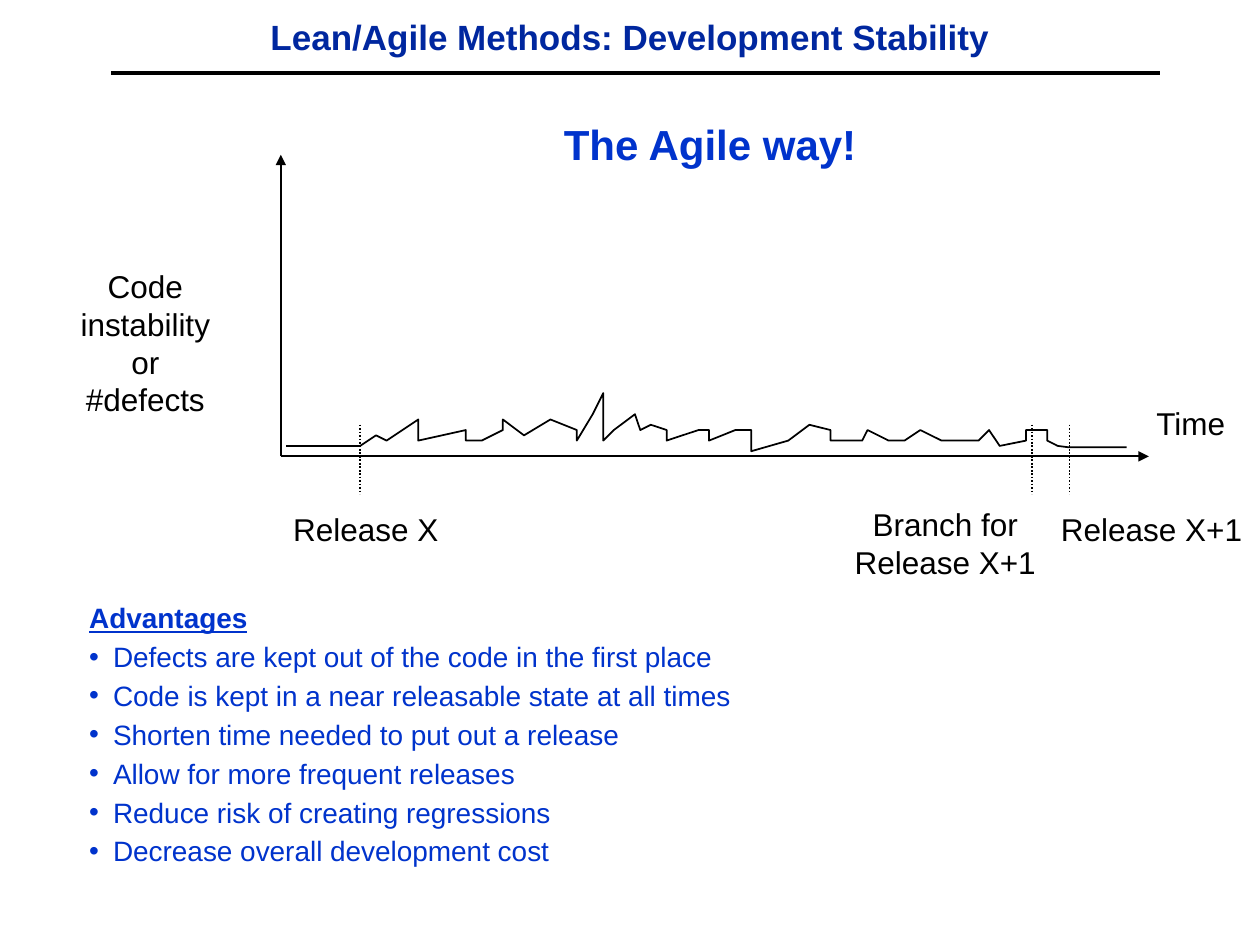
import pptx
import pptx.util
import pptx.dml.color
import pptx.enum.dml
import pptx.enum.shapes
import pptx.enum.text
import pptx.oxml.ns
import lxml.etree

Cm = pptx.util.Cm
Pt = pptx.util.Pt
ALIGN = pptx.enum.text.PP_ALIGN
ANCHOR = pptx.enum.text.MSO_ANCHOR
qn = pptx.oxml.ns.qn

COLORS = {"title": "00279F", "accent": "0033CC", "ink": "000000"}

TITLE_FONT = {"size": Pt(20), "bold": True}
SLOGAN_FONT = {"size": Pt(24), "bold": True}
LABEL_FONT = {"size": Pt(18), "bold": False}
HEAD_FONT = {"size": Pt(16), "bold": True, "underline": True}
BULLET_FONT = {"size": Pt(16), "bold": False}

TITLE = ("Lean/Agile Methods: Development Stability", (1.9, 0.2, 21.6, 1.07))
SLOGAN = ("The Agile way!", (11.1, 2.26, 6.43, 1.27))
LABELS = [
    (["Code instability", "or", "#defects"], (0.53, 5.26, 4.8, 3.3)),
    (["Time"], (23.04, 8.03, 1.93, 1.02)),
    (["Release X"], (5.66, 10.16, 3.43, 1.02)),
    (["Branch for", "Release X+1"], (16.97, 10.06, 4.17, 1.78)),
    (["Release X+1"], (21.13, 10.16, 4.17, 1.02)),
]
ADVANTAGES_BOX = (1.07, 11.99, 18.57, 5.61)
ADVANTAGES = [
    "Defects are kept out of the code in the first place",
    "Code is kept in a near releasable state at all times",
    "Shorten time needed to put out a release",
    "Allow for more frequent releases",
    "Reduce risk of creating regressions",
    "Decrease overall development cost",
]

RULE = (2.24, 1.47, 23.39, 1.47)
ORIGIN_X, ORIGIN_Y = 5.66, 9.2
AXES = [(ORIGIN_X, ORIGIN_Y, ORIGIN_X, 3.12), (ORIGIN_X, ORIGIN_Y, 23.16, ORIGIN_Y)]
MARKERS = [7.26, 20.8, 21.56]
MARKER_TOP, MARKER_BOTTOM = 8.56, 9.96

CURVE_LEFT, CURVE_BASE, CURVE_WIDTH = 5.77, 8.99, 16.94
CURVE = [
    (0, 0), (14, 0), (17, 2), (19, 1), (25, 5), (25, 1), (34, 3), (34, 1),
    (37, 1), (41, 3), (41, 5), (45, 2), (50, 5), (55, 3), (55, 1), (58, 6),
    (60, 10), (60, 1), (62, 3), (66, 6), (67, 3), (69, 4), (72, 3), (72, 1),
    (78, 3), (80, 3), (80, 1), (85, 3), (88, 3), (88, -1), (95, 1), (99, 4),
    (103, 3), (103, 1), (109, 1), (110, 3), (114, 1), (117, 1), (120, 3),
    (124, 1), (131, 1), (133, 3), (135, 0), (140, 1), (140, 3), (144, 3),
    (144, 1), (146, 0), (148, -0.25), (159, -0.25),
]


def rgb(name):
    return pptx.dml.color.RGBColor.from_string(COLORS[name])


def add_line(slide, ends, width=1, dotted=False, arrow=False):
    sp = slide.shapes.add_connector(
        pptx.enum.shapes.MSO_CONNECTOR.STRAIGHT, *[Cm(v) for v in ends])
    sp.line.width = Pt(width)
    sp.line.color.rgb = rgb("ink")
    if dotted:
        sp.line.dash_style = pptx.enum.dml.MSO_LINE.ROUND_DOT
    if arrow:
        lxml.etree.SubElement(sp.line._get_or_add_ln(), qn("a:tailEnd"), type="triangle")
    lxml.etree.SubElement(sp._element.spPr, qn("a:effectLst"))


def add_box(slide, box, wrap=False, anchor=ANCHOR.TOP):
    tf = slide.shapes.add_textbox(*[Cm(v) for v in box]).text_frame
    tf.word_wrap = wrap
    tf.vertical_anchor = anchor
    return tf


def add_paragraph(tf, text, font, color, align=ALIGN.CENTER):
    p = tf.paragraphs[0] if not tf.paragraphs[0].runs else tf.add_paragraph()
    p.alignment = align
    r = p.add_run()
    r.text = text
    r.font.name = "Arial"
    r.font.color.rgb = rgb(color)
    for key, value in font.items():
        setattr(r.font, key, value)
    return p


def add_advantages(slide):
    tf = add_box(slide, ADVANTAGES_BOX, wrap=True)
    rows = [("Advantages", HEAD_FONT)] + [(t, BULLET_FONT) for t in ADVANTAGES]
    for text, font in rows:
        p = add_paragraph(tf, text, font, "accent", ALIGN.LEFT)
        p.space_after = Pt(3)
        pPr = p._p.get_or_add_pPr()
        pPr.set("marL", str(Cm(0.96)))
        pPr.set("indent", str(-Cm(0.48)))
        if font is BULLET_FONT:
            buClr = lxml.etree.SubElement(pPr, qn("a:buClr"))
            lxml.etree.SubElement(buClr, qn("a:srgbClr"), val=COLORS["accent"])
            lxml.etree.SubElement(pPr, qn("a:buFont"), typeface="Arial")
            lxml.etree.SubElement(pPr, qn("a:buChar"), char="•")


def add_curve(slide):
    step = CURVE_WIDTH / CURVE[-1][0]
    pts = [(Cm(CURVE_LEFT + x * step), Cm(CURVE_BASE - y * step)) for x, y in CURVE]
    fb = slide.shapes.build_freeform(*pts[0])
    fb.add_line_segments(pts[1:], close=False)
    sp = fb.convert_to_shape()
    sp.shadow.inherit = False
    sp.fill.background()
    sp.line.width = Pt(1)
    sp.line.color.rgb = rgb("ink")


def main():
    prs = pptx.Presentation()
    prs.slide_width, prs.slide_height = Cm(25.4), Cm(19.05)
    s = prs.slides.add_slide(prs.slide_layouts[6])

    add_line(s, RULE, width=2)
    tf = add_box(s, TITLE[1], wrap=True, anchor=ANCHOR.MIDDLE)
    add_paragraph(tf, TITLE[0], TITLE_FONT, "title")
    for axis in AXES:
        add_line(s, axis, arrow=True)
    for x in MARKERS:
        add_line(s, (x, MARKER_TOP, x, MARKER_BOTTOM), dotted=True)
    for lines, box in LABELS:
        tf = add_box(s, box)
        for text in lines:
            add_paragraph(tf, text, LABEL_FONT, "ink")
    add_paragraph(add_box(s, SLOGAN[1]), SLOGAN[0], SLOGAN_FONT, "accent")
    add_advantages(s)
    add_curve(s)
    prs.save("out.pptx")


if __name__ == "__main__":
    main()
